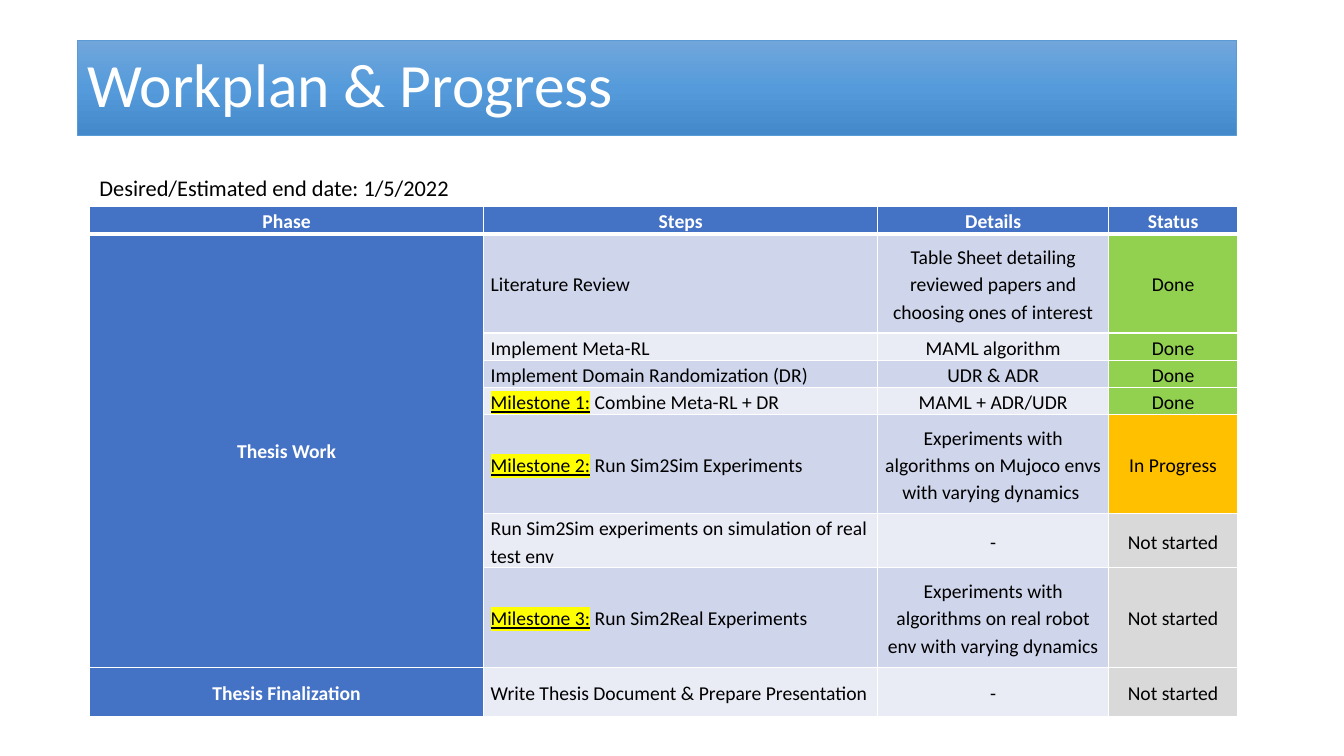
from copy import deepcopy
from dataclasses import dataclass

from lxml import etree
from pptx import Presentation
from pptx.dml.color import RGBColor
from pptx.enum.text import MSO_ANCHOR, MSO_AUTO_SIZE, PP_ALIGN
from pptx.oxml.ns import qn
from pptx.util import Pt

LEFT, CENTER = PP_ALIGN.LEFT, PP_ALIGN.CENTER
MIDDLE = MSO_ANCHOR.MIDDLE
NO_FIT, GROW = MSO_AUTO_SIZE.NONE, MSO_AUTO_SIZE.SHAPE_TO_FIT_TEXT


@dataclass(frozen=True)
class Theme:
    font: str = "Calibri"
    title_size: int = 44
    note_size: int = 16
    table_size: int = 14
    white: str = "FFFFFF"
    black: str = "000000"
    accent: str = "4472C4"
    bands: tuple = ("CFD5EA", "E9EBF5")
    highlight: str = "FFFF00"
    banner: tuple = ((0, "71A6DB"), (0.5, "559BDB"), (1, "448ACA"))
    banner_line: str = "5B9BD5"


THEME = Theme()
STATUS_FILLS = {"Done": "92D050", "In Progress": "FFC000", "Not started": "D9D9D9"}

HEADER = ("Phase", "Steps", "Details", "Status")
COLUMN_WIDTHS = (281.5, 281.5, 165, 92)
HEADER_HEIGHT = 18
# Height, milestone label, step, details, status
STEPS = (
    (71, "", "Literature Review",
     "Table Sheet detailing reviewed papers and choosing ones of interest", "Done"),
    (18, "", "Implement Meta-RL", "MAML algorithm", "Done"),
    (18, "", "Implement Domain Randomization (DR)", "UDR & ADR", "Done"),
    (18, "Milestone 1:", " Combine Meta-RL + DR", "MAML + ADR/UDR", "Done"),
    (71, "Milestone 2:", " Run Sim2Sim Experiments",
     "Experiments with algorithms on Mujoco envs with varying dynamics ", "In Progress"),
    (35.5, "", "Run Sim2Sim experiments on simulation of real test env", "-", "Not started"),
    (71, "Milestone 3:", " Run Sim2Real Experiments",
     "Experiments with algorithms on real robot env with varying dynamics", "Not started"),
    (35.5, "", "Write Thesis Document & Prepare Presentation", "-", "Not started"),
)
# First and last table row of each phase
PHASES = (("Thesis Work", 1, 7), ("Thesis Finalization", 8, 8))


def rgb(color):
    return RGBColor.from_string(color)


def style(paragraph, size, color, bold=False):
    paragraph.font.name = THEME.font
    paragraph.font.size = Pt(size)
    paragraph.font.bold = bold
    paragraph.font.color.rgb = rgb(color)


def add_title(slide, text):
    title = slide.shapes.title
    title.left, title.top, title.width, title.height = Pt(55.4), Pt(28.8), Pt(828), Pt(67.7)
    # Three-stop gradient running from top to bottom
    title.fill.gradient()
    title.fill.gradient_angle = 270
    stop_list = title.fill._xPr.find(qn("a:gradFill")).find(qn("a:gsLst"))
    stop_list.append(deepcopy(stop_list[0]))
    for stop, (position, color) in zip(title.fill.gradient_stops, THEME.banner):
        stop.position = position
        stop.color.rgb = rgb(color)
    title.line.color.rgb = rgb(THEME.banner_line)
    title.line.width = Pt(0.5)

    frame = title.text_frame
    frame.text = text
    frame.auto_size = NO_FIT
    frame.vertical_anchor = MIDDLE
    heading = frame.paragraphs[0]
    heading.alignment = LEFT
    heading.line_spacing = 0.9
    style(heading, THEME.title_size, THEME.white)


def add_note(slide, text):
    note = slide.shapes.add_textbox(Pt(64), Pt(121), Pt(270.7), Pt(26.6))
    frame = note.text_frame
    frame.text = text
    frame.word_wrap = False
    frame.auto_size = GROW
    frame.vertical_anchor = MIDDLE
    style(frame.paragraphs[0], THEME.note_size, THEME.black)


def set_borders(cell, top=1, bottom=1):
    properties = cell._tc.get_or_add_tcPr()
    sides = (("L", 1), ("R", 1), ("T", top), ("B", bottom))
    for index, (side, width) in enumerate(sides):
        border = etree.Element(qn(f"a:ln{side}"), w=str(Pt(width)))
        fill = etree.SubElement(border, qn("a:solidFill"))
        etree.SubElement(fill, qn("a:srgbClr"), val=THEME.white)
        properties.insert(index, border)


def fill_cell(cell, text, fill, label="", align=CENTER, strong=False, top=1, bottom=1):
    cell.fill.solid()
    cell.fill.fore_color.rgb = rgb(fill)
    set_borders(cell, top, bottom)
    cell.vertical_anchor = MIDDLE
    cell.margin_left = cell.margin_right = Pt(5)
    cell.margin_top = cell.margin_bottom = 0

    paragraph = cell.text_frame.paragraphs[0]
    paragraph.alignment = align
    paragraph.line_spacing = 1.15
    style(paragraph, THEME.table_size, THEME.white if strong else THEME.black, strong)
    if label:
        milestone = paragraph.add_run()
        milestone.text = label
        milestone.font.underline = True
        mark = etree.SubElement(milestone.font._element, qn("a:highlight"))
        etree.SubElement(mark, qn("a:srgbClr"), val=THEME.highlight)
    paragraph.add_run().text = text


def add_workplan(slide):
    heights = [HEADER_HEIGHT] + [step[0] for step in STEPS]
    workplan = slide.shapes.add_table(
        len(heights), len(HEADER), Pt(64), Pt(147.6),
        Pt(sum(COLUMN_WIDTHS)), Pt(sum(heights))).table
    for column, width in zip(workplan.columns, COLUMN_WIDTHS):
        column.width = Pt(width)
    for row, height in zip(workplan.rows, heights):
        row.height = Pt(height)

    # Header row
    for column, heading in enumerate(HEADER):
        fill_cell(workplan.cell(0, column), heading, THEME.accent, strong=True, bottom=3)

    # Phase column
    for phase, first, last in PHASES:
        cell = workplan.cell(first, 0)
        if last > first:
            cell.merge(workplan.cell(last, 0))
        fill_cell(cell, phase, THEME.accent, strong=True, top=3 if first == 1 else 1)

    # Steps with details and status
    for row, (_, label, step, details, status) in enumerate(STEPS, start=1):
        band = THEME.bands[(row - 1) % 2]
        top = 3 if row == 1 else 1
        fill_cell(workplan.cell(row, 1), step, band, label, LEFT, top=top)
        fill_cell(workplan.cell(row, 2), details, band, top=top)
        fill_cell(workplan.cell(row, 3), status, STATUS_FILLS[status], top=top)


def main():
    presentation = Presentation()
    presentation.slide_width, presentation.slide_height = Pt(960), Pt(540)
    slide = presentation.slides.add_slide(presentation.slide_layouts[5])
    add_title(slide, "Workplan & Progress")
    add_note(slide, "Desired/Estimated end date: 1/5/2022")
    add_workplan(slide)
    presentation.save("out.pptx")


if __name__ == "__main__":
    main()
